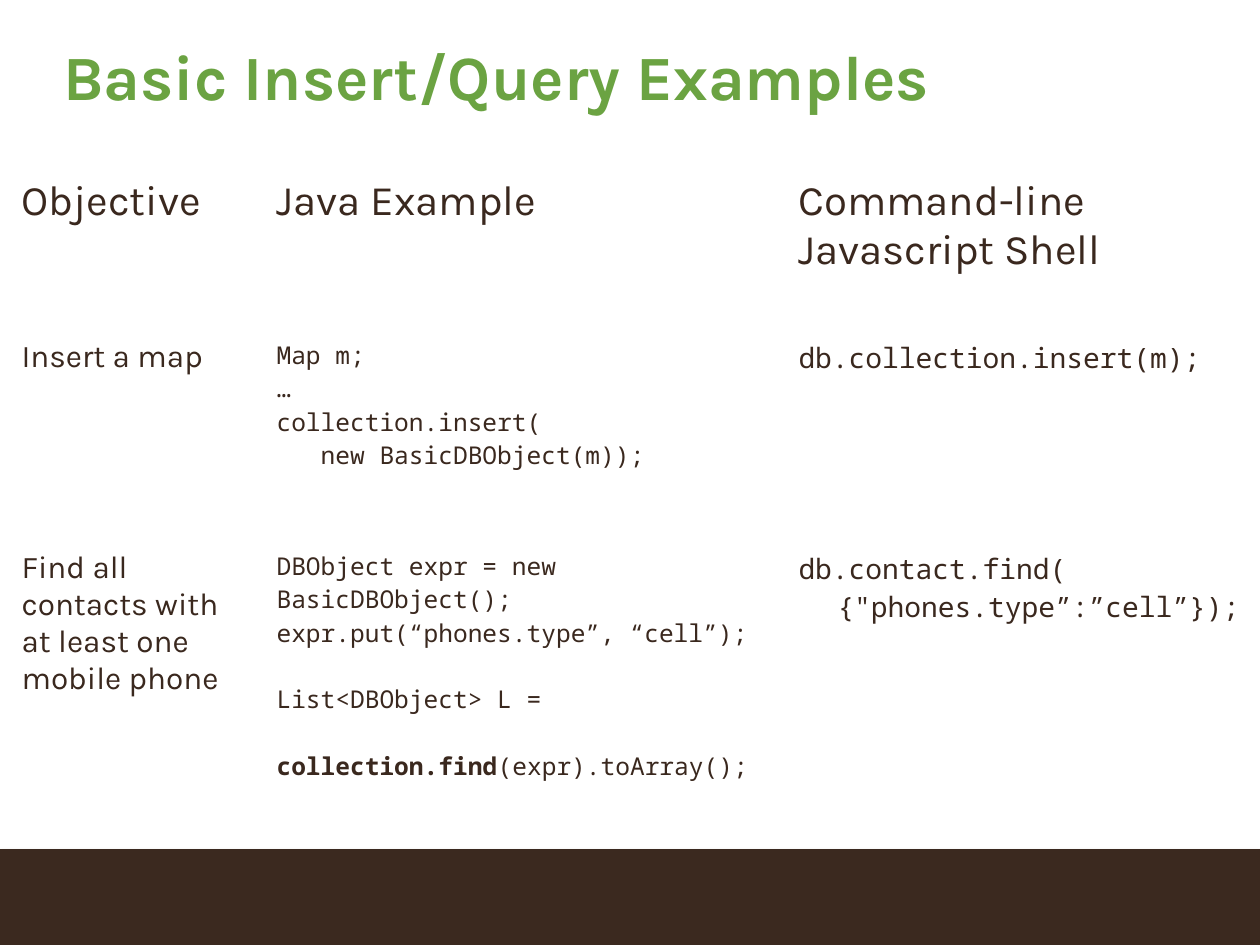
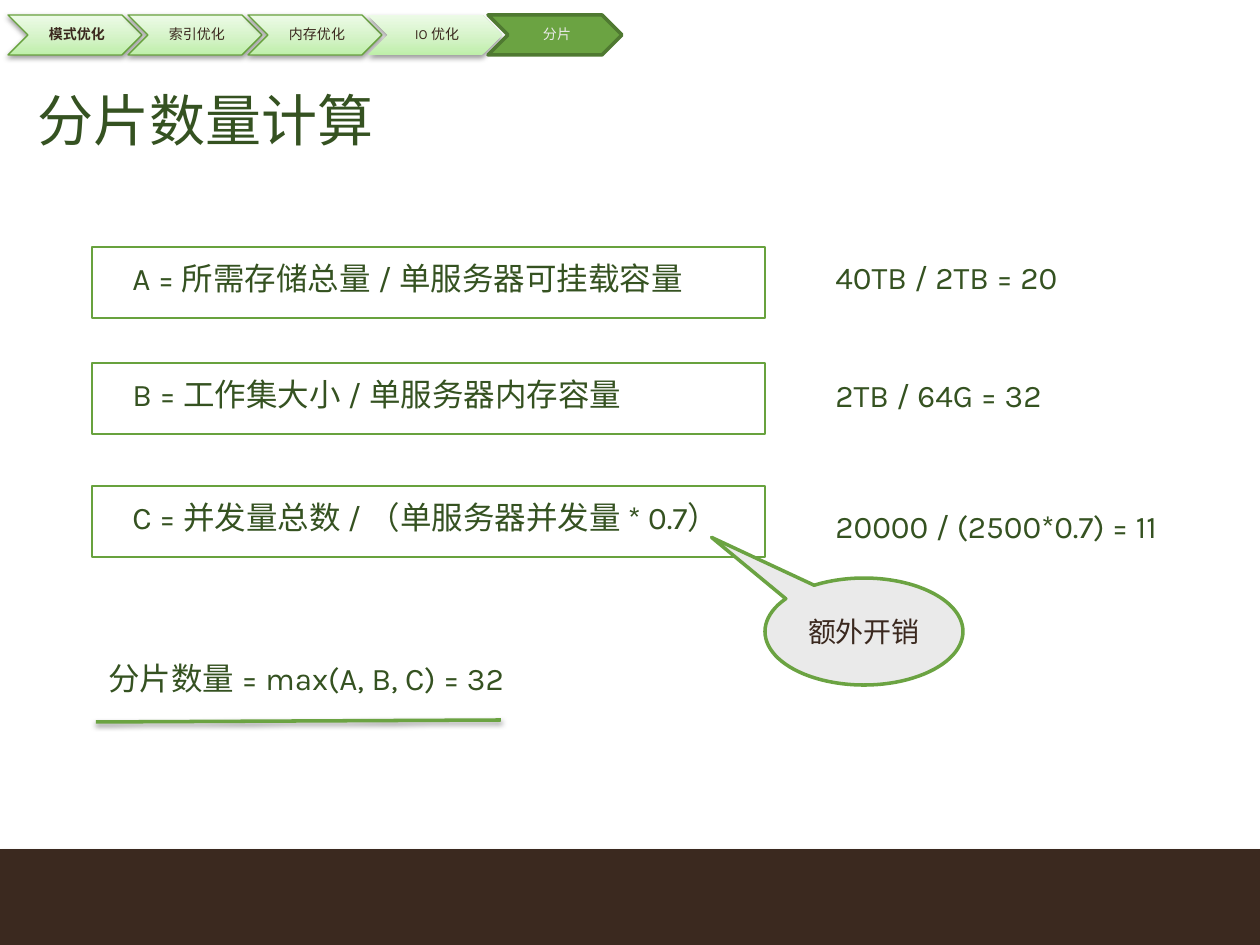
from lxml import etree
from pptx import Presentation
from pptx.dml.color import RGBColor
from pptx.enum.shapes import MSO_CONNECTOR, MSO_SHAPE
from pptx.enum.text import MSO_ANCHOR, PP_ALIGN
from pptx.oxml.ns import qn
from pptx.util import Emu, Pt

EMU_PER_PX = 914400 / 126
SLIDE_W, SLIDE_H = 1260, 945
BAND_TOP = 849
TITLE_ONLY = 5

LEFT, CENTER = PP_ALIGN.LEFT, PP_ALIGN.CENTER
TOP, MIDDLE = MSO_ANCHOR.TOP, MSO_ANCHOR.MIDDLE
RECT, CHEVRON = MSO_SHAPE.RECTANGLE, MSO_SHAPE.CHEVRON
CALLOUT = MSO_SHAPE.OVAL_CALLOUT
STRAIGHT = MSO_CONNECTOR.STRAIGHT

SANS, MONO = "Karla", "Noto Sans Mono"
NO_GRID_STYLE = "{2D5ABB26-0587-4C30-8999-92F81FD0307C}"
COLORS = {
    "band": "3B291F",
    "body": "3A281E",
    "green": "6BA342",
    "outline": "68A23E",
    "edge": "4F7931",
    "formula": "355221",
    "pale": "EAEAEA",
    "shadow": "000000",
}
STEP_GRADIENT = [(0, "BEEFA9"), (35, "D1F2C3"), (100, "EDFBE7")]


def px(length):
    return Emu(round(length * EMU_PER_PX))


def place(box):
    return [px(length) for length in box]


def color(name):
    return RGBColor.from_string(COLORS[name])


def write(frame, paragraphs, size=18, font=SANS, ink="body", bold=False,
          align=LEFT, anchor=TOP, insets=None, spacing=None,
          indents=None, gaps=None):
    """Fill a text frame or cell; a paragraph is a string or (text, bold) runs.

    indents (px) and gaps before (pt) are keyed by paragraph number.
    """
    text_frame = getattr(frame, "text_frame", frame)
    text_frame.word_wrap = True
    frame.vertical_anchor = anchor
    if insets:
        (frame.margin_left, frame.margin_top,
         frame.margin_right, frame.margin_bottom) = place(insets)
    for number, content in enumerate(paragraphs):
        paragraph = (text_frame.add_paragraph() if number
                     else text_frame.paragraphs[0])
        paragraph.alignment = align
        if spacing:
            paragraph.line_spacing = spacing
        if number in (indents or {}):
            paragraph._p.get_or_add_pPr().set("marL", str(px(indents[number])))
        if number in (gaps or {}):
            paragraph.space_before = Pt(gaps[number])
        runs = [(content, bold)] if isinstance(content, str) else content
        for text, run_bold in runs:
            run = paragraph.add_run()
            run.text = text
            run.font.name = font
            run.font.size = Pt(size)
            run.font.bold = run_bold
            run.font.color.rgb = color(ink)


def add_text(shapes, box, text, **text_format):
    label = shapes.add_textbox(*place(box))
    write(label.text_frame, [text], **text_format)


def add_shadow(shape, opacity, distance):
    properties = shape._element.spPr
    effects = properties.find(qn("a:effectLst"))
    if effects is None:
        effects = etree.SubElement(properties, qn("a:effectLst"))
    shadow = etree.SubElement(
        effects, qn("a:outerShdw"), blurRad=str(Pt(3.1)),
        dist=str(Pt(distance)), dir="5400000", rotWithShape="0")
    shade = etree.SubElement(shadow, qn("a:srgbClr"), val=COLORS["shadow"])
    etree.SubElement(shade, qn("a:alpha"), val=str(opacity * 1000))


def add_shape(shapes, kind, box, fill=None, line=None, weight=1):
    shape = shapes.add_shape(kind, *place(box))
    shape.shadow.inherit = False
    if fill:
        shape.fill.solid()
        shape.fill.fore_color.rgb = color(fill)
    else:
        shape.fill.background()
    if line:
        shape.line.color.rgb = color(line)
        shape.line.width = Pt(weight)
    else:
        shape.line.fill.background()
    return shape


def fill_gradient(shape, stops):
    shape.fill.gradient()
    shape.fill.gradient_angle = 90
    stop_list = shape._element.spPr.find(".//" + qn("a:gsLst"))
    for default_stop in list(stop_list):
        stop_list.remove(default_stop)
    for percent, shade in stops:
        stop = etree.SubElement(stop_list, qn("a:gs"), pos=str(percent * 1000))
        etree.SubElement(stop, qn("a:srgbClr"), val=shade)


def add_footer_band(slide):
    """Draw the band and hand it to the layout, so every slide shows it."""
    band = add_shape(slide.shapes, RECT,
                     (0, BAND_TOP, SLIDE_W, SLIDE_H - BAND_TOP), fill="band")
    add_shadow(band, 35, 1.8)
    slide.slide_layout.shapes._spTree.insert(2, band._element)


def set_title(slide, box, text, **text_format):
    title = slide.shapes.title
    title.left, title.top, title.width, title.height = place(box)
    write(title.text_frame, [text], **text_format)


def add_examples_table(slide, left, top):
    columns = [255, 522, 475]
    rows = [161, 211, 245, 55]
    objective = {"size": 18}
    java = {"size": 14, "font": MONO}
    shell = {"size": 16, "font": MONO}
    contents = [
        [(["Objective"], {"size": 24}),
         (["Java Example"], {"size": 24}),
         (["Command-line Javascript Shell"], {"size": 24})],
        [(["Insert a map"], objective),
         (["Map m;", "…", "collection.insert(",
           "   new BasicDBObject(m));"], java),
         (["db.collection.insert(m);"], shell)],
        [(["Find all contacts with at least one mobile phone"], objective),
         (["DBObject expr = new BasicDBObject();",
           "expr.put(“phones.type”, “cell”);",
           "List<DBObject> L =",
           [("   ", False), ("collection.find", True),
            ("(expr).toArray();", False)]], {**java, "gaps": {2: 19}}),
         (["db.contact.find(", "{\"phones.type”:”cell”});"],
          {**shell, "indents": {1: 39}})],
    ]
    frame = slide.shapes.add_table(
        len(rows), len(columns),
        *place((left, top, sum(columns), sum(rows))))
    examples = frame.table
    examples.first_row = examples.horz_banding = False
    examples._tbl.tblPr.find(qn("a:tableStyleId")).text = NO_GRID_STYLE
    for column, width in zip(examples.columns, columns):
        column.width = px(width)
    for row, height in zip(examples.rows, rows):
        row.height = px(height)
    for cell in examples.iter_cells():
        cell.fill.background()
    for row, row_contents in zip(examples.rows, contents):
        for cell, (paragraphs, text_format) in zip(row.cells, row_contents):
            write(cell, paragraphs, **text_format)


def add_step_trail(slide, left, top):
    """Chevron steps; the last one is the current step."""
    steps = ["模式优化", "索引优化", "内存优化", "IO 优化", "分片"]
    pitch, width, height, text_inset = 120, 134, 40, 20
    trail = slide.shapes.add_group_shape().shapes
    for number, step in enumerate(steps):
        x = left + number * pitch
        box = (x, top, width, height)
        current = step == steps[-1]
        if current:
            add_shape(trail, CHEVRON, box, "green", "edge", 2)
        else:
            outline = None if step == "IO 优化" else "outline"
            chevron = add_shape(trail, CHEVRON, box, None, outline, 0.75)
            fill_gradient(chevron, STEP_GRADIENT)
            add_shadow(chevron, 38, 1.6)
        add_text(trail, (x + text_inset, top, width - 2 * text_inset, height),
                 step, size=8, bold=number == 0, align=CENTER, anchor=MIDDLE,
                 ink="pale" if current else "body", insets=(5, 1, 1, 1),
                 spacing=0.9)


def add_formulas(slide, left):
    """Framed formulas, each with its worked example to the right."""
    width, height, text_height = 673, 71, 50
    formulas = [
        (247, "A = 所需存储总量 / 单服务器可挂载容量", 607,
         252, "40TB / 2TB = 20"),
        (363, "B = 工作集大小 / 单服务器内存容量", 607,
         370, "2TB / 64G = 32"),
        (486, "C = 并发量总数 / （单服务器并发量 * 0.7）", 670,
         501, "20000 / (2500*0.7) = 11"),
    ]
    for top, formula, text_width, example_top, example in formulas:
        add_shape(slide.shapes, RECT, (left, top, width, height),
                  line="outline")
        add_text(slide.shapes, (left + 28, top + 6, text_width, text_height),
                 formula, ink="formula")
        add_text(slide.shapes, (left + 731, example_top, 430, text_height),
                 example, ink="formula")


def add_overhead_callout(slide, box):
    callout = add_shape(slide.shapes, CALLOUT, box, "pale", "green", 2)
    callout.adjustments[0], callout.adjustments[1] = -0.77, -0.88
    write(callout.text_frame, ["额外开销"], size=16, align=CENTER,
          anchor=MIDDLE)


def add_shard_count(slide, left, top):
    add_text(slide.shapes, (left, top, 607, 50),
             "分片数量 = max(A, B, C) = 32", ink="formula")
    underline = slide.shapes.add_connector(
        STRAIGHT, *place((left, top + 69, left + 405, top + 67)))
    underline.line.color.rgb = color("green")
    underline.line.width = Pt(2)
    add_shadow(underline, 38, 1.6)


def build_examples_slide(slide):
    set_title(slide, (63, 1, 1134, 158), "Basic Insert/Query Examples",
              size=36, ink="green", bold=True, anchor=MIDDLE,
              insets=(0, 0, 0, 0), spacing=0.9)
    add_examples_table(slide, 9, 171)


def build_sharding_slide(slide):
    add_step_trail(slide, 8, 15)
    set_title(slide, (25, 79, 1012, 81), "分片数量计算",
              size=32, ink="formula")
    add_formulas(slide, 92)
    add_shard_count(slide, 96, 653)
    add_overhead_callout(slide, (765, 578, 198, 107))


def main():
    deck = Presentation()
    deck.slide_width, deck.slide_height = px(SLIDE_W), px(SLIDE_H)
    layout = deck.slide_layouts[TITLE_ONLY]
    examples = deck.slides.add_slide(layout)
    sharding = deck.slides.add_slide(layout)
    add_footer_band(examples)
    build_examples_slide(examples)
    build_sharding_slide(sharding)
    deck.save("out.pptx")


if __name__ == "__main__":
    main()
